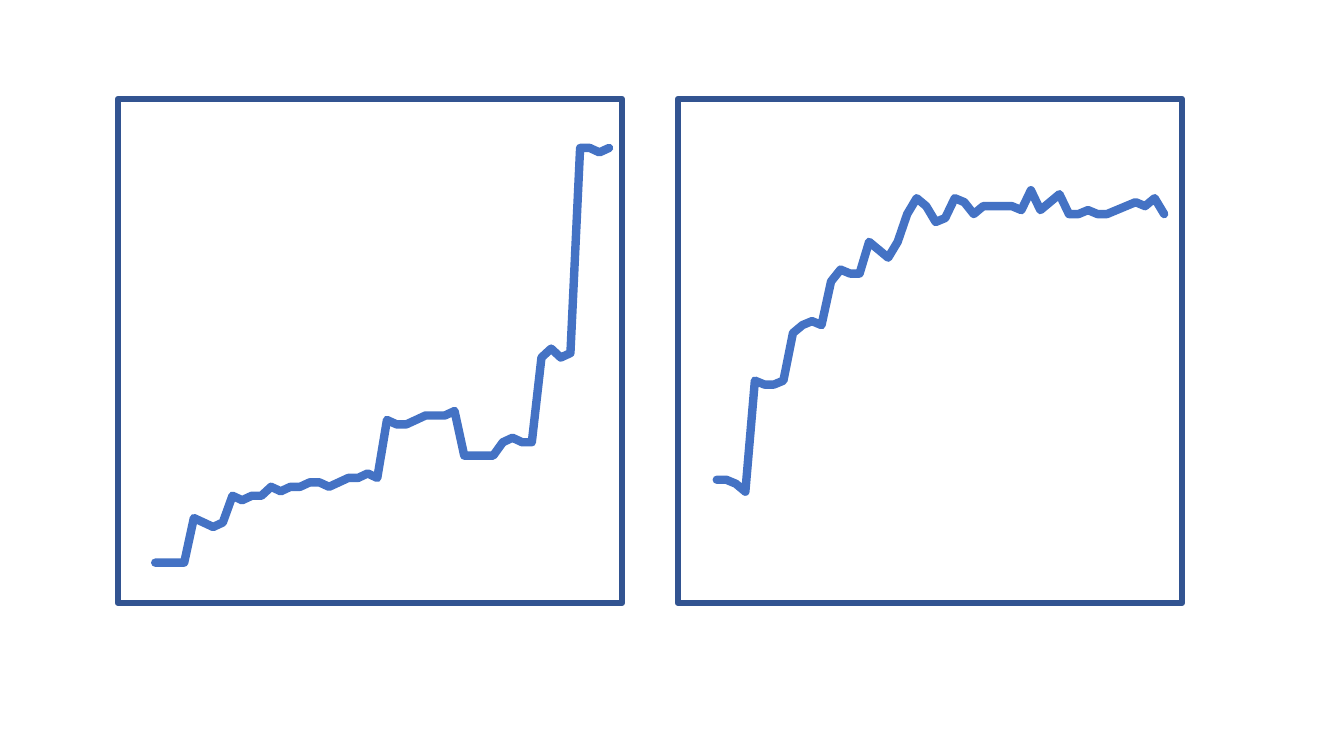
from dataclasses import dataclass

from pptx import Presentation
from pptx.chart.data import CategoryChartData
from pptx.dml.color import RGBColor
from pptx.enum.chart import XL_CHART_TYPE as ChartType, XL_MARKER_STYLE as MarkerStyle
from pptx.enum.shapes import MSO_SHAPE as ShapeKind
from pptx.oxml import parse_xml
from pptx.oxml.ns import nsdecls, qn
from pptx.util import Emu, Pt

PIXELS_PER_INCH = 100.8
SLIDE_SIZE = (1344, 756)
PANEL_TOP, PANEL_SIDE = 99, 504
COLORS = {"panel": "FFFFFF", "border": "325491", "curve": "4472C4", "text": "000000"}
PLOT_FRACTIONS = {"x": 0.05, "y": 0, "w": 0.95, "h": 1}


@dataclass(frozen=True)
class CurvePanel:
    left: int
    chart_box: tuple[int, int, int, int]
    axis_maximum: float
    values: tuple[int, ...]


PANELS = (
    CurvePanel(118, (126, 119, 488, 475), 106.5, (
        7, 7, 7, 7, 17, 16, 15, 16, 22, 21, 22, 22,
        24, 23, 24, 24, 25, 25, 24, 25, 26, 26, 27, 26,
        39, 38, 38, 39, 40, 40, 40, 41, 31, 31, 31, 31,
        34, 35, 34, 34, 53, 55, 53, 54, 100, 100, 99, 100)),
    CurvePanel(678, (688, 111, 481, 476), 120, (
        27, 27, 26, 24, 52, 51, 51, 52, 64, 66, 67, 66,
        77, 80, 79, 79, 87, 85, 83, 87, 94, 98, 96, 92,
        93, 98, 97, 94, 96, 96, 96, 96, 95, 100, 95, 97,
        99, 94, 94, 95, 94, 94, 95, 96, 97, 96, 98, 94)),
)


def pixels(length: float) -> Emu:
    return Emu(round(length * 914400 / PIXELS_PER_INCH))


def color(name: str) -> RGBColor:
    return RGBColor.from_string(COLORS[name])


def draw_frame(page, panel: CurvePanel) -> None:
    box = page.shapes.add_shape(
        ShapeKind.RECTANGLE, *map(pixels, (panel.left, PANEL_TOP, PANEL_SIDE, PANEL_SIDE)))
    box.shadow.inherit = False
    box.fill.solid()
    box.fill.fore_color.rgb = color("panel")
    box.line.color.rgb = color("border")
    box.line.width = Pt(4.5)


def fix_plot_area(chart) -> None:
    plot_area = chart._chartSpace.chart.plotArea
    for layout in plot_area.findall(qn("c:layout")):
        plot_area.remove(layout)
    modes = "".join(f'<c:{side}Mode val="edge"/>' for side in "xy")
    fractions = "".join(f'<c:{side} val="{part}"/>' for side, part in PLOT_FRACTIONS.items())
    plot_area.insert(0, parse_xml(
        f'<c:layout {nsdecls("c")}><c:manualLayout><c:layoutTarget val="inner"/>'
        f'{modes}{fractions}</c:manualLayout></c:layout>'))


def draw_curve(page, panel: CurvePanel) -> None:
    data = CategoryChartData()
    data.categories = [str(number) for number in range(1, len(panel.values) + 1)]
    data.add_series("Series 1", panel.values)
    chart = page.shapes.add_chart(
        ChartType.LINE, *map(pixels, panel.chart_box), data).chart
    chart.has_legend = False
    chart.has_title = False
    chart.font.name = "Calibri"
    chart.font.size = Pt(10)
    chart.font.color.rgb = color("text")
    chart.category_axis.visible = False
    chart.value_axis.visible = False
    chart.value_axis.has_major_gridlines = False
    chart.value_axis.minimum_scale = 0
    chart.value_axis.maximum_scale = panel.axis_maximum
    chart.plots[0].vary_by_categories = False
    series = chart.plots[0].series[0]
    series.smooth = False
    series.marker.style = MarkerStyle.NONE
    line = series.format.line
    line.color.rgb = color("curve")
    line.width = Pt(6)
    outline = series._element.spPr.find(qn("a:ln"))
    outline.set("cap", "rnd")
    outline.append(parse_xml(f'<a:round {nsdecls("a")}/>'))
    fix_plot_area(chart)


deck = Presentation()
deck.slide_width, deck.slide_height = map(pixels, SLIDE_SIZE)
page = deck.slides.add_slide(deck.slide_layouts[6])
for panel in PANELS:
    draw_frame(page, panel)
    draw_curve(page, panel)
deck.save("out.pptx")
